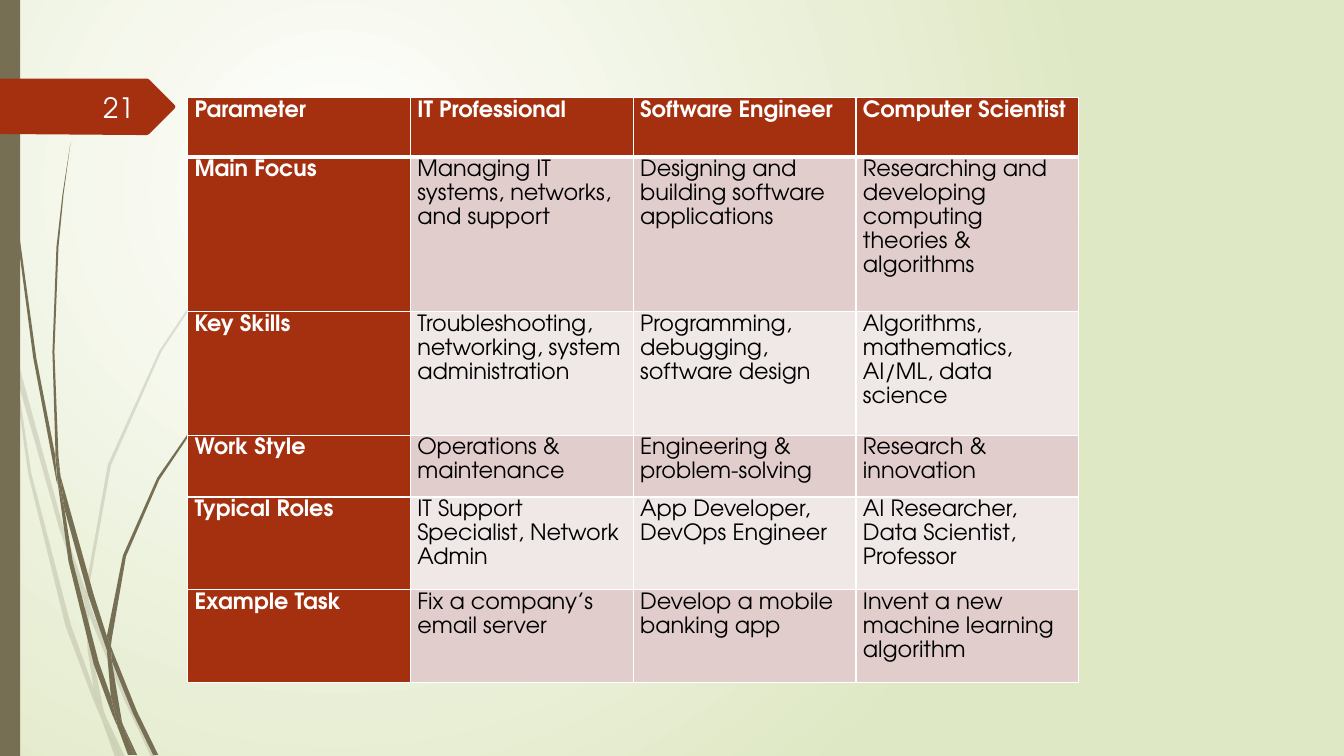
"""Build a slide comparing three computing careers in a table."""
from lxml.etree import SubElement
from pptx import Presentation
from pptx.dml.color import RGBColor
from pptx.enum.shapes import MSO_SHAPE
from pptx.enum.text import MSO_ANCHOR, PP_ALIGN
from pptx.oxml.ns import qn
from pptx.util import Pt

PX = 9144
FONT = "TeX Gyre Adventor"
COLORS = {
    "white": "FFFFFF", "number": "FEFFFF", "black": "000000", "background": "DFE8C4",
    "stem": "766F54", "rust": "A53010", "dark band": "E1CDCC", "light band": "F0E8E7",
}

CAREERS = [
    ["Parameter", "IT Professional", "Software Engineer", "Computer Scientist"],
    ["Main Focus", "Managing IT systems, networks, and support",
     "Designing and building software applications",
     "Researching and developing computing theories & algorithms"],
    ["Key Skills", "Troubleshooting, networking, system administration",
     "Programming, debugging, software design",
     "Algorithms, mathematics, AI/ML, data science"],
    ["Work Style", "Operations & maintenance", "Engineering & problem-solving",
     "Research & innovation"],
    ["Typical Roles", "IT Support Specialist, Network Admin",
     "App Developer, DevOps Engineer", "AI Researcher, Data Scientist, Professor"],
    ["Example Task", "Fix a company’s email server", "Develop a mobile banking app",
     "Invent a new machine learning algorithm"],
]
ROW_HEIGHTS = [59, 152, 121, 59, 90, 90]
COLUMN_WIDTH = 221
TABLE_LEFT, TABLE_TOP = 186, 97

PALE_STEMS = [
    [(11, 350), (9, 322), (0, 282), (0, 299), (10, 344)],
    [(58, 522), (84, 599), (85, 586), (62, 520), (14, 345), (17, 376)],
    [(92, 607), (88, 596), (88, 610), (123, 694), (150, 751), (155, 751), (127, 692)],
    [(119, 751), (124, 751), (105, 711)],
    [(93, 683), (70, 619), (31, 469), (17, 376), (11, 350), (28, 470), (65, 621),
     (92, 693), (101, 714), (99, 707)],
    [(84, 599), (87, 646), (93, 683), (96, 692), (105, 711), (103, 706), (91, 646),
     (88, 610), (88, 608)],
    [(88, 584), (110, 462), (160, 349), (229, 245), (268, 198), (290, 175), (312, 154),
     (312, 153), (289, 175), (268, 197), (228, 244), (158, 348), (107, 461), (85, 584),
     (85, 586), (88, 596)],
    [(101, 714), (114, 751), (119, 751)],
    [(88, 608), (88, 610), (88, 596), (85, 586), (84, 599)],
    [(96, 692), (93, 683), (99, 707), (101, 714), (119, 751), (105, 711)],
]
DARK_STEMS = [
    [(7, 110), (17, 233), (33, 355), (56, 477), (57, 481), (55, 457), (55, 453),
     (36, 355), (19, 232), (8, 109), (5, 48), (4, 0), (3, 0), (4, 48)],
    [(88, 592), (106, 645), (106, 633), (106, 631), (93, 590), (60, 472), (64, 505)],
    [(113, 649), (110, 641), (111, 656), (132, 708), (152, 749), (157, 749), (136, 706)],
    [(110, 691), (98, 657), (72, 556), (64, 505), (57, 477), (68, 557), (93, 659),
     (111, 708), (117, 722), (116, 717)],
    [(60, 472), (58, 453), (54, 349), (58, 245), (63, 193), (70, 141), (62, 193),
     (56, 245), (52, 349), (55, 449)],
    [(133, 749), (136, 749), (122, 719)],
    [(57, 477), (64, 505), (60, 472), (55, 449), (55, 453)],
    [(111, 633), (125, 552), (158, 476), (205, 406), (231, 374), (245, 359), (261, 344),
     (260, 344), (245, 358), (231, 373), (204, 405), (156, 474), (122, 551), (106, 631),
     (110, 641)],
    [(117, 722), (127, 749), (131, 749)],
    [(106, 645), (110, 691), (116, 706), (122, 719), (121, 716), (111, 656), (109, 651)],
    [(106, 645), (109, 651), (111, 656), (110, 641), (106, 631), (106, 633)],
    [(116, 706), (110, 691), (116, 717), (117, 722), (130, 749), (133, 749), (122, 719)],
]
BANNER = [(173, 108), (148, 133), (146, 134), (136, 134), (0, 133), (0, 78), (136, 78),
          (146, 78), (148, 79), (173, 104), (174, 106)]


def rgb(name):
    return RGBColor.from_string(COLORS[name])


def paint(shape, color):
    shape.shadow.inherit = False
    shape.fill.solid()
    shape.fill.fore_color.rgb = rgb(color)
    shape.line.fill.background()


def draw_outline(shapes, points, color):
    builder = shapes.build_freeform(*points[0], scale=PX)
    builder.add_line_segments(points[1:], close=True)
    shape = builder.convert_to_shape()
    paint(shape, color)
    return shape


def draw_background(slide):
    fill = slide.background.fill
    fill.gradient()
    for stop, color in zip(fill.gradient_stops, ("white", "background")):
        stop.color.rgb = rgb(color)
    gradient = next(slide.element.iter(qn("a:gradFill")))
    gradient.remove(gradient.find(qn("a:lin")))
    circle = SubElement(gradient, qn("a:path"), {"path": "circle"})
    SubElement(circle, qn("a:fillToRect"),
               {"l": "50000", "t": "50000", "r": "100000", "b": "100000"})


def draw_stems(slide):
    pale_group = slide.shapes.add_group_shape()
    for points in PALE_STEMS:
        stem = draw_outline(pale_group.shapes, points, "stem")
        color = next(stem.element.spPr.iter(qn("a:srgbClr")))
        SubElement(color, qn("a:alpha"), {"val": "20000"})
    dark_group = slide.shapes.add_group_shape()
    for points in DARK_STEMS:
        draw_outline(dark_group.shapes, points, "stem")
    bar = slide.shapes.add_shape(MSO_SHAPE.RECTANGLE, 0, 0, 20 * PX, 750 * PX)
    paint(bar, "stem")


def style_text(paragraph, size, color, bold=False):
    font = paragraph.font
    font.name, font.size, font.bold = FONT, Pt(size), bold
    font.color.rgb = rgb(color)


def draw_slide_number(slide):
    draw_outline(slide.shapes, BANNER, "rust")
    box = slide.shapes.add_textbox(58 * PX, 86 * PX, 85 * PX, 40 * PX)
    frame = box.text_frame
    frame.word_wrap = True
    frame.vertical_anchor = MSO_ANCHOR.MIDDLE
    paragraph = frame.paragraphs[0]
    paragraph.text = "21"
    paragraph.alignment = PP_ALIGN.RIGHT
    style_text(paragraph, 20, "number")


def add_border(cell, side, points):
    properties = cell._tc.get_or_add_tcPr()
    line = SubElement(properties, qn(f"a:ln{side}"), {"w": str(Pt(points))})
    fill = SubElement(line, qn("a:solidFill"))
    SubElement(fill, qn("a:srgbClr"), {"val": COLORS["white"]})


def format_cell(cell, row, column):
    heading = row == 0 or column == 0
    widths = {"L": 1, "R": 1, "T": 3 if row == 1 else 1, "B": 3 if row == 0 else 1}
    for side, points in widths.items():
        add_border(cell, side, points)
    band = "dark band" if row % 2 else "light band"
    cell.fill.solid()
    cell.fill.fore_color.rgb = rgb("rust" if heading else band)
    cell.margin_left = cell.margin_right = 7 * PX
    cell.margin_top = cell.margin_bottom = 0
    paragraph = cell.text_frame.paragraphs[0]
    paragraph.line_spacing = 1.15
    style_text(paragraph, 16, "white" if heading else "black", heading)


def draw_table(slide):
    columns = len(CAREERS[0])
    frame = slide.shapes.add_table(
        len(CAREERS), columns, TABLE_LEFT * PX, TABLE_TOP * PX,
        columns * COLUMN_WIDTH * PX, sum(ROW_HEIGHTS) * PX)
    table = frame.table
    for column in table.columns:
        column.width = COLUMN_WIDTH * PX
    for row, texts in enumerate(CAREERS):
        table.rows[row].height = ROW_HEIGHTS[row] * PX
        for column, text in enumerate(texts):
            cell = table.cell(row, column)
            cell.text = text
            format_cell(cell, row, column)


def main():
    presentation = Presentation()
    presentation.slide_width, presentation.slide_height = 1333 * PX, 750 * PX
    slide = presentation.slides.add_slide(presentation.slide_layouts[6])
    draw_background(slide)
    draw_stems(slide)
    draw_slide_number(slide)
    draw_table(slide)
    presentation.save("out.pptx")


if __name__ == "__main__":
    main()
